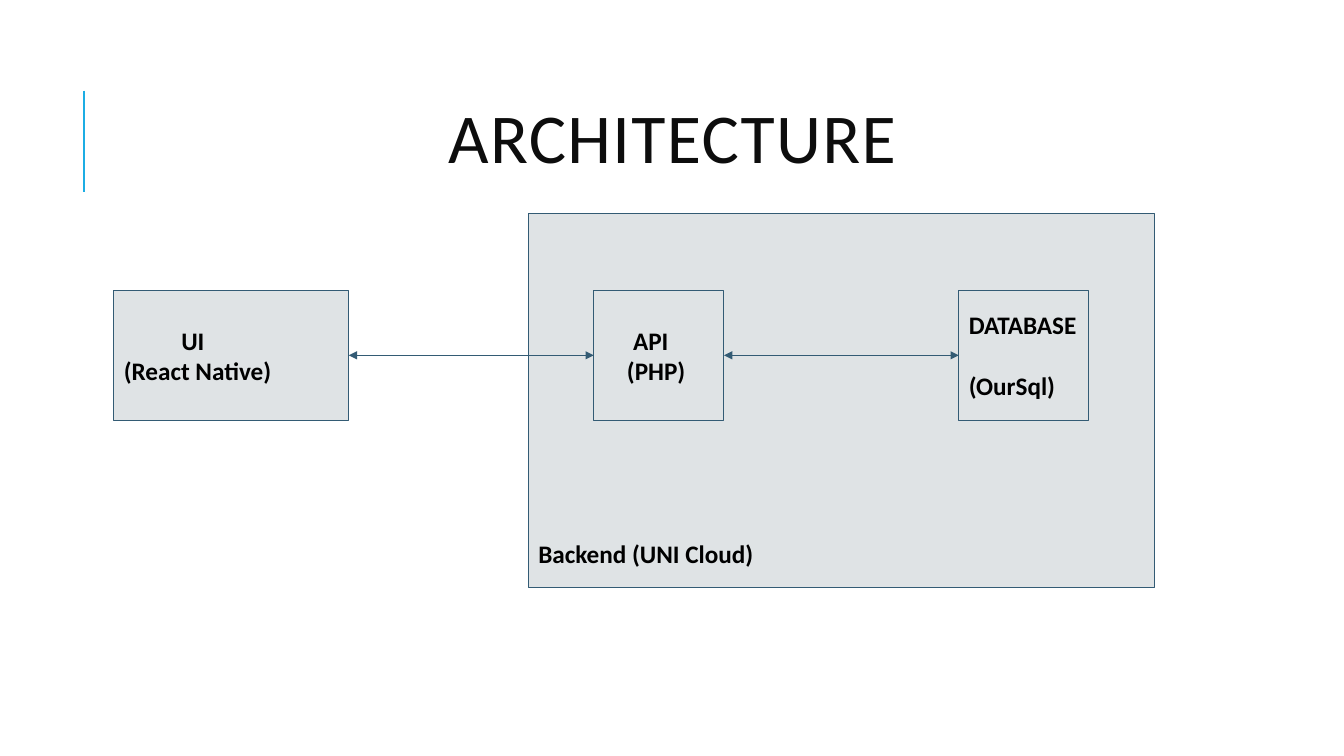
from lxml.etree import SubElement
from pptx import Presentation
from pptx.dml.color import RGBColor
from pptx.enum.shapes import MSO_CONNECTOR, MSO_SHAPE
from pptx.enum.text import MSO_ANCHOR, PP_ALIGN
from pptx.oxml.ns import qn
from pptx.util import Inches, Pt

COLORS = {"accent": "1CADE4", "line": "335B74", "fill": "DFE3E5",
          "title": "0D0D0D", "text": "000000"}


class Deck:
    """Style and current slide, with a method per kind of element."""
    font = "Calibri"
    label = {"size": Pt(18), "bold": True}

    def __init__(self, slide):
        self.s = slide

    def color(self, name):
        return RGBColor.from_string(COLORS[name])

    def add_text(self, p, text, color, formats):
        r = p.add_run()
        r.text = text
        for key, value in {"name": self.font, **formats}.items():
            setattr(r.font, key, value)
        r.font.color.rgb = self.color(color)
        return r

    def title(self, text, x, y, w, h):
        sp = self.s.shapes.title
        sp.left, sp.top, sp.width, sp.height = map(Inches, (x, y, w, h))
        tf = sp.text_frame
        tf.vertical_anchor = MSO_ANCHOR.MIDDLE
        p = tf.paragraphs[0]
        p.alignment, p.line_spacing = PP_ALIGN.CENTER, 0.9
        r = self.add_text(p, text, "title", {"size": Pt(50), "bold": False})
        r.font._element.set("spc", "100")

    def box(self, lines, x, y, w, h, anchor=MSO_ANCHOR.MIDDLE, bottom=0.1):
        """Each line is (text, left indent in inches, points before)."""
        sp = self.s.shapes.add_shape(MSO_SHAPE.RECTANGLE, *map(Inches, (x, y, w, h)))
        sp.shadow.inherit = False
        sp.fill.solid()
        sp.fill.fore_color.rgb = self.color("fill")
        sp.line.color.rgb = self.color("line")
        sp.line.width = Pt(0.75)
        tf = sp.text_frame
        formats = {"word_wrap": True, "vertical_anchor": anchor,
                   "margin_left": Inches(0.1), "margin_right": Inches(0.1),
                   "margin_top": Inches(0.1), "margin_bottom": Inches(bottom)}
        for key, value in formats.items():
            setattr(tf, key, value)
        for i, (text, indent, before) in enumerate(lines):
            p = tf.add_paragraph() if i else tf.paragraphs[0]
            p.alignment, p.space_before = PP_ALIGN.LEFT, Pt(before)
            p._p.get_or_add_pPr().set("marL", str(Inches(indent)))
            self.add_text(p, text, "text", self.label)

    def line(self, x1, y1, x2, y2, color="line", width=0.75, arrows=False):
        c = self.s.shapes.add_connector(MSO_CONNECTOR.STRAIGHT,
                                        *map(Inches, (x1, y1, x2, y2)))
        c.line.color.rgb = self.color(color)
        c.line.width = Pt(width)
        if arrows:
            for end in ("a:headEnd", "a:tailEnd"):
                SubElement(c.line._get_or_add_ln(), qn(end), type="triangle")
        SubElement(c._element.spPr, qn("a:effectLst"))


def main():
    prs = Presentation()
    prs.slide_width, prs.slide_height = Inches(13.33), Inches(7.5)
    deck = Deck(prs.slides.add_slide(prs.slide_layouts[5]))

    # Title with accent rule
    deck.line(0.83, 0.9, 0.83, 1.9, "accent", 1.5)
    deck.title("ARCHITECTURE", 0.92, 0.67, 11.5, 1.45)

    # Backend container
    deck.box([("Backend (UNI Cloud)", 0, 0)], 5.24, 2.12, 6.21, 3.71,
             MSO_ANCHOR.BOTTOM, 0.19)

    # Components in one row: left, width, lines
    top, side = 2.88, 1.29
    components = [
        (1.13, 2.33, [("UI", 0.57, 0), ("(React Native)", 0, 0)]),
        (5.89, side, [("API", 0.29, 0), ("(PHP)", 0.23, 0)]),
        (9.51, side, [("DATABASE", 0, 0), ("(OurSql)", 0, 22)]),
    ]
    for x, w, lines in components:
        deck.box(lines, x, top, w, side)

    # Two-way arrows between neighbours
    mid = top + side / 2
    for (x, w, _), (next_x, _, _) in zip(components, components[1:]):
        deck.line(x + w, mid, next_x, mid, arrows=True)

    prs.save("out.pptx")


if __name__ == "__main__":
    main()
